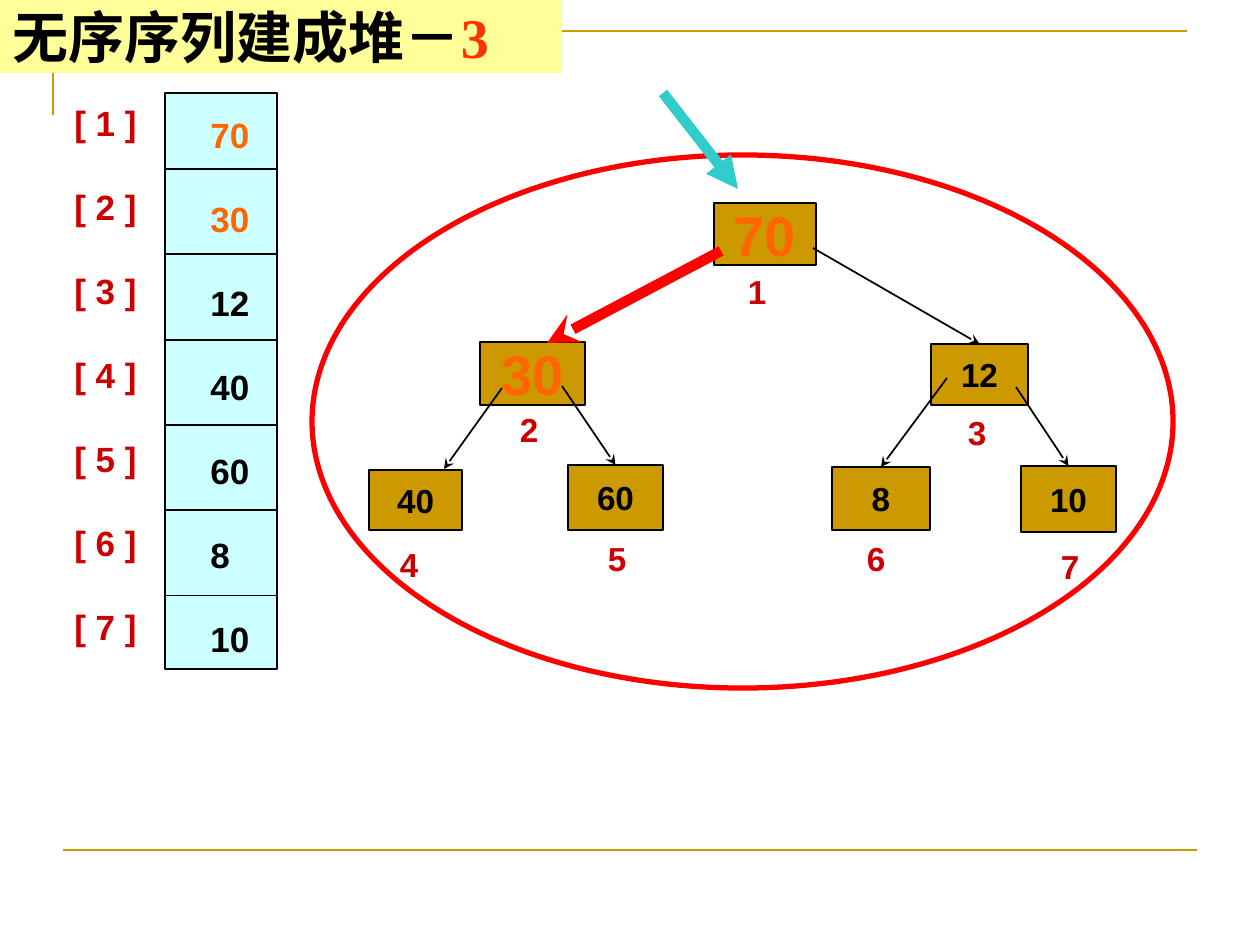
import pptx
import pptx.util
import pptx.oxml.xmlchemy
from pptx.dml.color import RGBColor
from pptx.enum.shapes import MSO_CONNECTOR, MSO_SHAPE
from pptx.enum.text import MSO_ANCHOR, PP_ALIGN
from pptx.oxml.ns import qn

SCALE = 914400 / 126
COLORS = {
    "gold": "CC9900", "black": "000000", "white": "FFFFFF", "red": "FF0000",
    "index": "CC0000", "orange": "FF6600", "cell": "CCFFFF", "pointer": "33CCCC",
    "banner": "FFFF99", "step": "FF3300",
}
VALUES = [70, 30, 12, 40, 60, 8, 10]
SETTLED = {70, 30}


def px(length):
    return pptx.util.Emu(round(length * SCALE))


def rgb(name):
    return RGBColor.from_string(COLORS[name])


def value_color(value):
    return "orange" if value in SETTLED else "black"


def add_box(page, box, kind, fill, line=None, width=1):
    shape = page.shapes.add_shape(kind, *map(px, box))
    shape.shadow.inherit = False
    shape.fill.solid()
    shape.fill.fore_color.rgb = rgb(fill)
    if line:
        shape.line.color.rgb = rgb(line)
        shape.line.width = pptx.util.Pt(width)
    else:
        shape.line.fill.background()
    return shape


def add_line(page, start, end, color="black", width=1, arrow=None):
    line = page.shapes.add_connector(MSO_CONNECTOR.STRAIGHT, *map(px, (*start, *end)))
    line.line.color.rgb = rgb(color)
    line.line.width = pptx.util.Pt(width)
    properties = line._element.spPr
    if arrow:
        tip = pptx.oxml.xmlchemy.OxmlElement("a:tailEnd")
        tip.set("type", arrow)
        properties.find(qn("a:ln")).append(tip)
    properties.append(pptx.oxml.xmlchemy.OxmlElement("a:effectLst"))
    return line


def add_span(para, text, size, color, name="Arial"):
    span = para.add_run()
    span.text = text
    style = {"name": name, "size": pptx.util.Pt(size), "bold": True}
    for key, value in style.items():
        setattr(span.font, key, value)
    span.font.color.rgb = rgb(color)


def add_text_box(page, box):
    frame = page.shapes.add_textbox(*map(px, box)).text_frame
    frame.word_wrap = False
    return frame


def draw_frame(page, box):
    left, top, width, height = box
    outline = page.shapes.build_freeform(px(left), px(top + 84))
    outline.add_line_segments(
        [(px(left), px(top)), (px(left + width), px(top))], close=False)
    corner = outline.convert_to_shape()
    corner.shadow.inherit = False
    corner.fill.background()
    corner.line.color.rgb = rgb("gold")
    corner.line.width = pptx.util.Pt(1.5)
    add_line(page, (left + 10, top + height), (left + 10 + width, top + height),
             "gold", 1.5)


def draw_title(page, box):
    frame = add_box(page, box, MSO_SHAPE.RECTANGLE, "banner").text_frame
    frame.vertical_anchor = MSO_ANCHOR.MIDDLE
    para = frame.paragraphs[0]
    para.alignment = PP_ALIGN.LEFT
    add_span(para, "无序序列建成堆－", 32, "black", "Times New Roman")
    add_span(para, "3", 32, "step", "Times New Roman")


def draw_column(page, box, entries):
    """Stack (text, color) entries, one for each array cell."""
    frame = add_text_box(page, box)
    for row, (text, color) in enumerate(entries):
        para = frame.add_paragraph() if row else frame.paragraphs[0]
        para.line_spacing = pptx.util.Pt(24)
        para.space_before = pptx.util.Pt(24 if row else 0)
        add_span(para, text, 20, color)


def draw_array(page, box):
    left, top, width, height = box
    add_box(page, box, MSO_SHAPE.RECTANGLE, "cell", "black")
    for row in range(len(VALUES) - 1):
        y = top + 76 + row * 256 / 3
        add_line(page, (left - 1, y), (left + width, y))
    draw_column(page, (left - 103, top + 2, 88, height - 17),
                [(f"[ {row} ]", "index") for row in range(1, len(VALUES) + 1)])
    draw_column(page, (left + 33, top + 14, 64, height - 17),
                [(str(value), value_color(value)) for value in VALUES])


def draw_node(page, box, value, number, label_center):
    node = add_box(page, box, MSO_SHAPE.RECTANGLE, "gold", "black")
    frame = node.text_frame
    for side in ("left", "top", "right", "bottom"):
        setattr(frame, f"margin_{side}", 0)
    frame.vertical_anchor = MSO_ANCHOR.MIDDLE
    frame.paragraphs[0].alignment = PP_ALIGN.CENTER
    add_span(frame.paragraphs[0], str(value), 32 if value in SETTLED else 19,
             value_color(value))

    x, y = label_center
    label = add_text_box(page, (x - 35, y - 25, 70, 50))
    label.vertical_anchor = MSO_ANCHOR.MIDDLE
    label.paragraphs[0].alignment = PP_ALIGN.CENTER
    add_span(label.paragraphs[0], str(number), 19, "index")
    return node


def draw_heap(page, box):
    left, top, width, height = box
    add_box(page, box, MSO_SHAPE.OVAL, "white", "red", 3)

    def place(x, y):
        return left + x, top + y

    # Node box and label centre, relative to the ellipse, in heap order
    layout = [
        ((402, 48, 102, 62), (445, 136)),
        ((168, 187, 105, 63), (217, 274)),
        ((619, 189, 97, 61), (665, 277)),
        ((57, 315, 93, 60), (97, 409)),
        ((256, 310, 95, 65), (305, 403)),
        ((520, 312, 98, 63), (564, 403)),
        ((709, 311, 95, 66), (758, 411)),
    ]
    nodes = {}
    for number, (value, (node_box, center)) in enumerate(zip(VALUES, layout), 1):
        x, y, node_width, node_height = node_box
        nodes[number] = draw_node(
            page, (*place(x, y), node_width, node_height), value, number,
            place(*center))

    joined_edges = {
        3: ((501, 93), (668, 189)),
        5: ((250, 231), (303, 310)),
        6: ((635, 223), (569, 312)),
        7: ((704, 232), (756, 311)),
    }
    for child, (start, end) in joined_edges.items():
        edge = add_line(page, place(*start), place(*end), arrow="stealth")
        edge.end_connect(nodes[child], 0)
    add_line(page, place(190, 233), place(132, 314), arrow="stealth")
    add_line(page, place(351, -62), place(426, 34), "pointer", 6, "triangle")
    add_line(page, place(409, 96), place(235, 188), "red", 6, "stealth")


def main():
    deck = pptx.Presentation()
    deck.slide_width, deck.slide_height = px(1260), px(945)
    page = deck.slides.add_slide(deck.slide_layouts[6])
    draw_frame(page, (53, 31, 1134, 819))
    draw_heap(page, (312, 155, 861, 533))
    draw_array(page, (165, 93, 112, 576))
    draw_title(page, (0, 0, 562, 73))
    deck.save("out.pptx")


if __name__ == "__main__":
    main()
